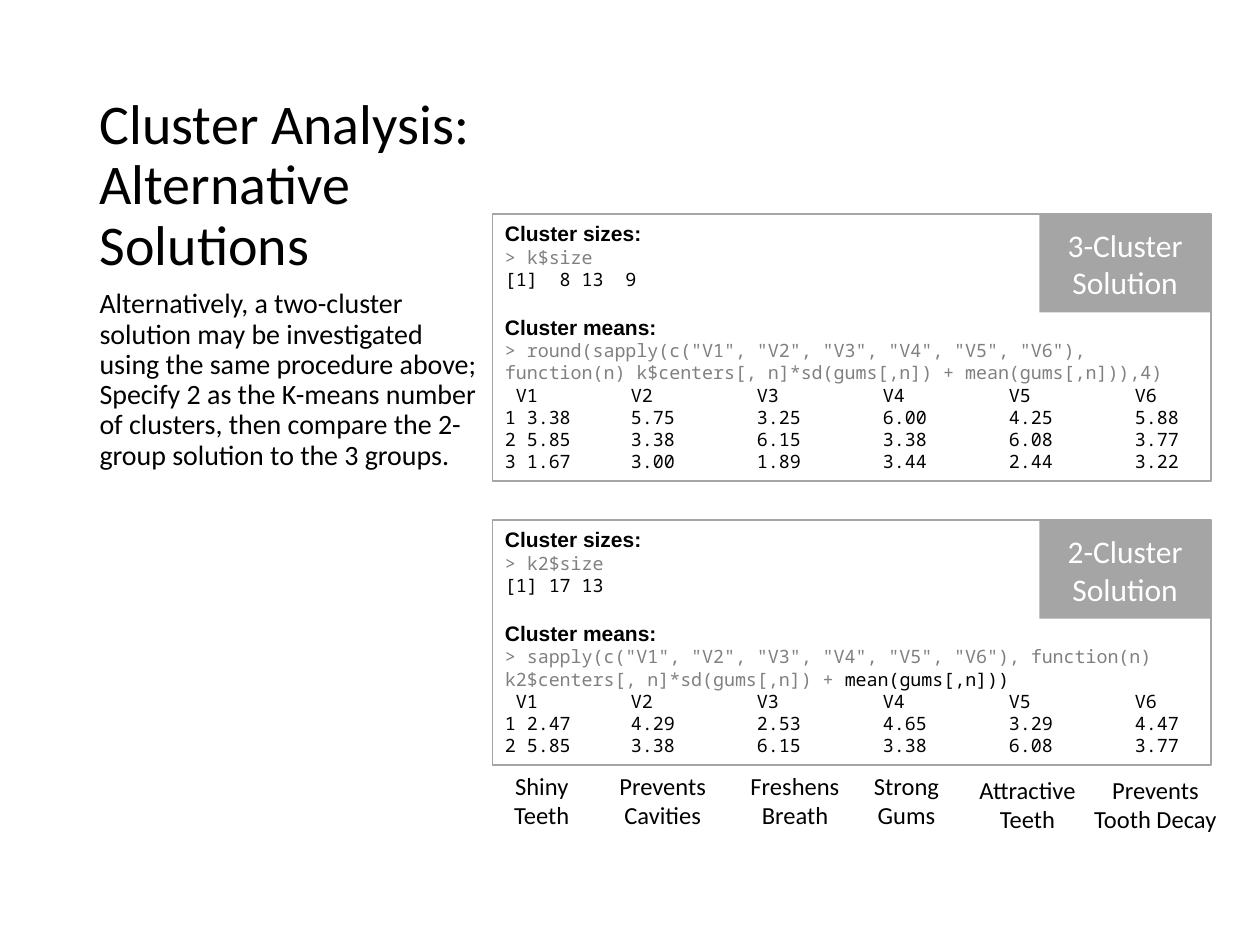
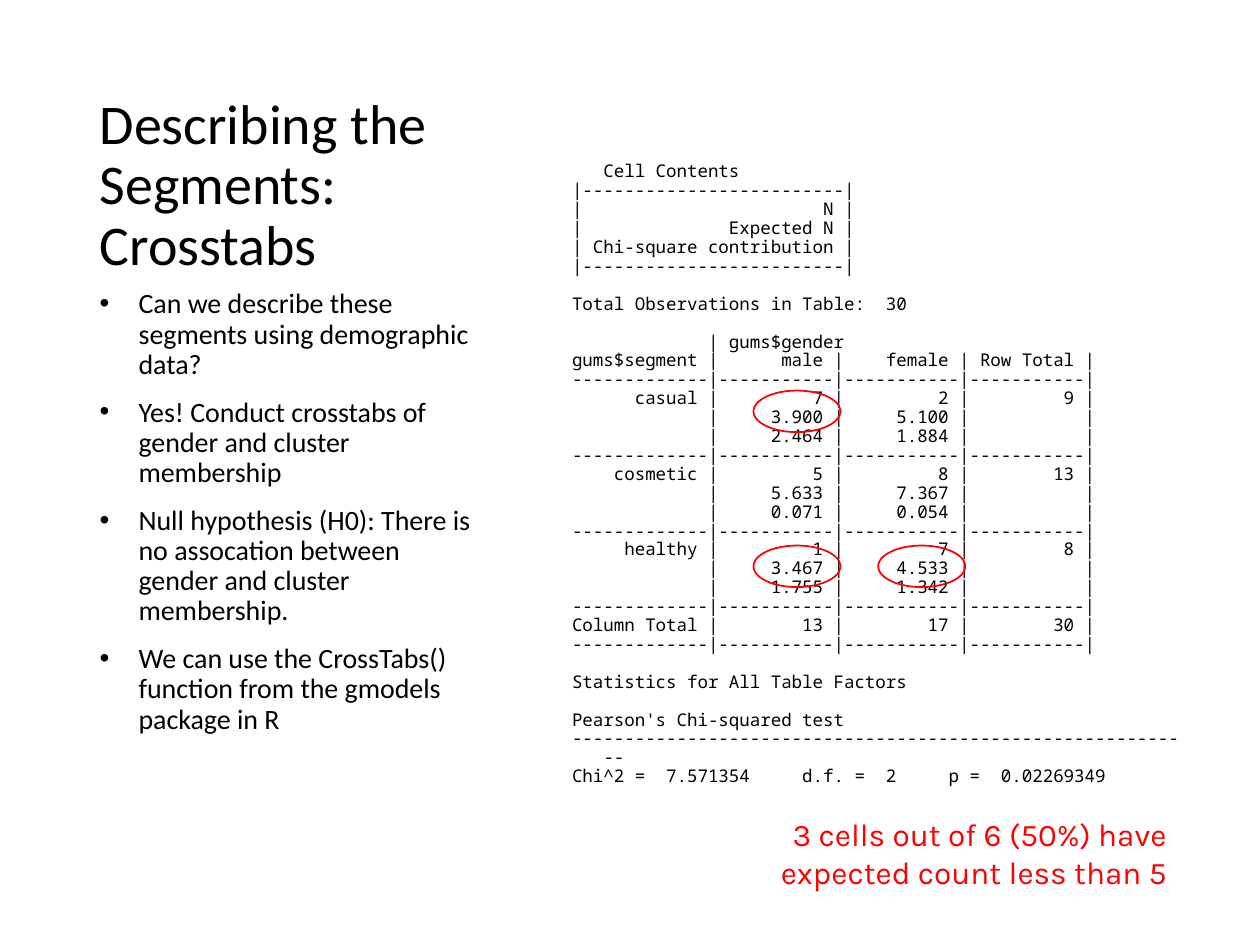
from lxml import etree
from pptx import Presentation
from pptx import util as u
from pptx.dml.color import RGBColor
from pptx.enum import shapes, text
from pptx.oxml.ns import qn

BLACK, WHITE, GREY, CODE_GREY, RED = "000000", "FFFFFF", "A5A5A5", "808080", "FF0000"
SANS, HEADING, MONO, NOTE = "Calibri", "Arial", "Noto Sans Mono", "Karla"
LEFT, CENTER, RIGHT = text.PP_ALIGN.LEFT, text.PP_ALIGN.CENTER, text.PP_ALIGN.RIGHT


def rgb(value):
    return RGBColor.from_string(value)


def place(shape, left, top, width, height):
    shape.left, shape.top = u.Inches(left), u.Inches(top)
    shape.width, shape.height = u.Inches(width), u.Inches(height)


def add_rule(paragraph, tag, **attributes):
    properties = paragraph._p.get_or_add_pPr()
    rule = etree.Element(qn(tag), **attributes)
    properties.find(qn("a:defRPr")).addprevious(rule)
    return rule


def hang(paragraph, indent, bullet=None):
    properties = paragraph._p.get_or_add_pPr()
    properties.set("marL", str(u.Inches(indent)))
    properties.set("indent", str(-u.Inches(indent)))
    if bullet:
        add_rule(paragraph, "a:buFont", typeface="Arial")
        add_rule(paragraph, "a:buChar", char=bullet)
    else:
        add_rule(paragraph, "a:buNone")


def add_tabs(paragraph, count):
    stops = add_rule(paragraph, "a:tabLst")
    for inch in range(1, count + 1):
        etree.SubElement(stops, qn("a:tab"), pos=str(u.Inches(inch)), algn="l")


class SlideBuilder:
    def __init__(self):
        self.deck = Presentation()
        self.deck.slide_width, self.deck.slide_height = u.Inches(10), u.Inches(7.5)
        self.page = None

    def new_page(self, heading):
        self.page = self.deck.slides.add_slide(self.deck.slide_layouts[7])
        frame = self.placeholder(0, 0.69, 0.5, 3.23, 1.75)
        frame.vertical_anchor = text.MSO_ANCHOR.BOTTOM
        self.para(frame, heading, 32, leading=0.9)

    def placeholder(self, index, *spot):
        holder = self.page.placeholders[index]
        place(holder, *spot)
        frame = holder.text_frame
        frame.word_wrap = True
        frame.auto_size = text.MSO_AUTO_SIZE.NONE
        return frame

    def para(self, frame, words, size, font=SANS, color=BLACK, bold=False,
             align=None, before=0, leading=None):
        paragraph = frame.paragraphs[0]
        if paragraph.runs:
            paragraph = frame.add_paragraph()
        spans = [(words, color)] if isinstance(words, str) else words
        paragraph.alignment = align
        paragraph.space_before = u.Pt(before)
        if leading:
            paragraph.line_spacing = leading
        for piece, shade in spans:
            for number, line in enumerate(piece.split("\n")):
                if number:
                    paragraph.add_line_break()
                span = paragraph.add_run()
                span.text = line
                for target in (paragraph.font, span.font):
                    target.name, target.size, target.bold = font, u.Pt(size), bold
                    target.color.rgb = rgb(shade)
        return paragraph

    def side_text(self, entries, bullet=None):
        frame = self.placeholder(2, 0.69, 2.25, 3.23, 4.17)
        for entry in entries:
            paragraph = self.para(frame, entry, 16, before=10, leading=0.9)
            if bullet:
                hang(paragraph, 0.31, bullet)

    def shape(self, kind, spot, fill=None, line=None):
        box = self.page.shapes.add_shape(kind, *map(u.Inches, spot))
        box.shadow.inherit = False
        if fill:
            box.fill.solid()
            box.fill.fore_color.rgb = rgb(fill)
        else:
            box.fill.background()
        if line:
            box.line.color.rgb = rgb(line)
            box.line.width = u.Pt(1)
        else:
            box.line.fill.background()
        box.text_frame.word_wrap = True
        return box

    def label(self, words, spot, size, **style):
        box = self.page.shapes.add_textbox(*map(u.Inches, spot))
        box.text_frame.word_wrap = True
        self.para(box.text_frame, words, size, **style)

    def output_panel(self, top, height, badge, size_lines, means_call, rows):
        rectangle = shapes.MSO_SHAPE.RECTANGLE
        panel = self.shape(rectangle, (3.91, top, 5.7, height), WHITE, GREY)
        frame = panel.text_frame
        frame.vertical_anchor = text.MSO_ANCHOR.TOP
        heading = dict(size=12, font=HEADING, bold=True, align=LEFT)
        code = dict(size=10.5, font=MONO, align=LEFT, leading=u.Pt(12.6))
        command, result = size_lines
        self.para(frame, "Cluster sizes:", **heading)
        self.para(frame, command, color=CODE_GREY, **code)
        self.para(frame, result, **code)
        self.para(frame, "Cluster means:", before=14, **heading)
        self.para(frame, means_call, color=CODE_GREY, **code)
        header = " " + "\t".join(f"V{number}" for number in range(1, 7))
        numbered = [f"{number} " + "\t".join(row.split())
                    for number, row in enumerate(rows, 1)]
        for line in [header, *numbered]:
            add_tabs(self.para(frame, line, **code), 5)
        tag = self.shape(rectangle, (8.25, top, 1.36, 0.78), GREY)
        tag.text_frame.vertical_anchor = text.MSO_ANCHOR.MIDDLE
        self.para(tag.text_frame, badge, 18, color=WHITE, align=CENTER)

    def report(self, blocks):
        frame = self.placeholder(1, 4.44, 1.24, 5.06, 5.18)
        pitch = 10.8
        for number, block in enumerate(blocks):
            for row, line in enumerate(block):
                gap = pitch if number and not row else 0
                paragraph = self.para(frame, line, 10, font=MONO, before=gap,
                                      leading=u.Pt(pitch))
                hang(paragraph, 0.25)

    def ring(self, left, top):
        self.shape(shapes.MSO_SHAPE.OVAL, (left, top, 0.69, 0.33), line=RED)


def table_row(name, *cells):
    return f"{name:>12} |" + "".join(f"{cell:>10} |" for cell in cells)


def crosstab():
    rule = "-" * 13 + "|" + ("-" * 11 + "|") * 3
    segments = {
        "casual": [("7", "2", "9"), ("3.900", "5.100", ""), ("2.464", "1.884", "")],
        "cosmetic": [("5", "8", "13"), ("5.633", "7.367", ""), ("0.071", "0.054", "")],
        "healthy": [("1", "7", "8"), ("3.467", "4.533", ""), ("1.755", "1.342", "")],
    }
    lines = [table_row("") + " gums$gender",
             table_row("gums$segment", "male", "female", "Row Total"), rule]
    for name, (counts, *details) in segments.items():
        lines.append(table_row(name, *counts))
        lines += [table_row("", *detail) for detail in details]
        lines.append(rule)
    return lines + [table_row("Column Total", 13, 17, 30), rule]


def cell_legend():
    edge = "|" + "-" * 25 + "|"
    entries = ["N", "Expected N", "Chi-square contribution"]
    return ["   Cell Contents", edge, *[f"|{entry:>24} |" for entry in entries], edge]


def alternatives_page(builder):
    builder.new_page("Cluster Analysis:\nAlternative Solutions")
    builder.side_text([
        "Alternatively, a two-cluster solution may be investigated using the same "
        "procedure above; Specify 2 as the K-means number of clusters, then compare "
        "the 2-group solution to the 3 groups."])
    unused = builder.page.placeholders[1]._element
    unused.getparent().remove(unused)
    columns = 'sapply(c("V1", "V2", "V3", "V4", "V5", "V6"), function(n) '
    builder.output_panel(
        1.7, 2.12, "3-Cluster Solution", ("> k$size", "[1]  8 13  9"),
        f"> round({columns}k$centers[, n]*sd(gums[,n]) + mean(gums[,n])),4)",
        ["3.38 5.75 3.25 6.00 4.25 5.88",
         "5.85 3.38 6.15 3.38 6.08 3.77",
         "1.67 3.00 1.89 3.44 2.44 3.22"])
    builder.output_panel(
        4.13, 1.94, "2-Cluster Solution", ("> k2$size", "[1] 17 13"),
        [(f"> {columns}k2$centers[, n]*sd(gums[,n]) + ", CODE_GREY),
         ("mean(gums[,n]))", BLACK)],
        ["2.47 4.29 2.53 4.65 3.29 4.47",
         "5.85 3.38 6.15 3.38 6.08 3.77"])
    attributes = [
        ("Shiny Teeth", 3.82, 6.07, 0.96), ("Prevents Cavities", 4.78, 6.07, 0.96),
        ("Freshens Breath", 5.83, 6.07, 0.96), ("Strong Gums", 6.78, 6.07, 0.83),
        ("Attractive Teeth", 7.61, 6.1, 1.09), ("Prevents Tooth Decay", 8.56, 6.1, 1.22),
    ]
    for words, left, top, width in attributes:
        builder.label(words, (left, top, width, 0.57), 14, align=CENTER)


def crosstabs_page(builder):
    builder.new_page("Describing the Segments: Crosstabs")
    builder.side_text([
        "Can we describe these segments using demographic data?",
        "Yes! Conduct crosstabs of gender and cluster membership",
        "Null hypothesis (H0): There is no assocation between gender and cluster membership.",
        "We can use the CrossTabs() function from the gmodels package in R",
    ], bullet="•")
    builder.report([
        cell_legend(),
        ["Total Observations in Table:  30"],
        crosstab(),
        ["Statistics for All Table Factors"],
        ["Pearson's Chi-squared test", "-" * 60,
         "Chi^2 =  7.571354     d.f. =  2     p =  0.02269349"],
    ])
    builder.label("3 cells out of 6 (50%) have expected count less than 5",
                  (5.58, 6.42, 3.78, 0.71), 18, font=NOTE, color=RED, align=RIGHT)
    for left, top in [(5.98, 3.1), (5.98, 4.33), (6.97, 4.33)]:
        builder.ring(left, top)


def main():
    builder = SlideBuilder()
    alternatives_page(builder)
    crosstabs_page(builder)
    builder.deck.save("out.pptx")


if __name__ == "__main__":
    main()
